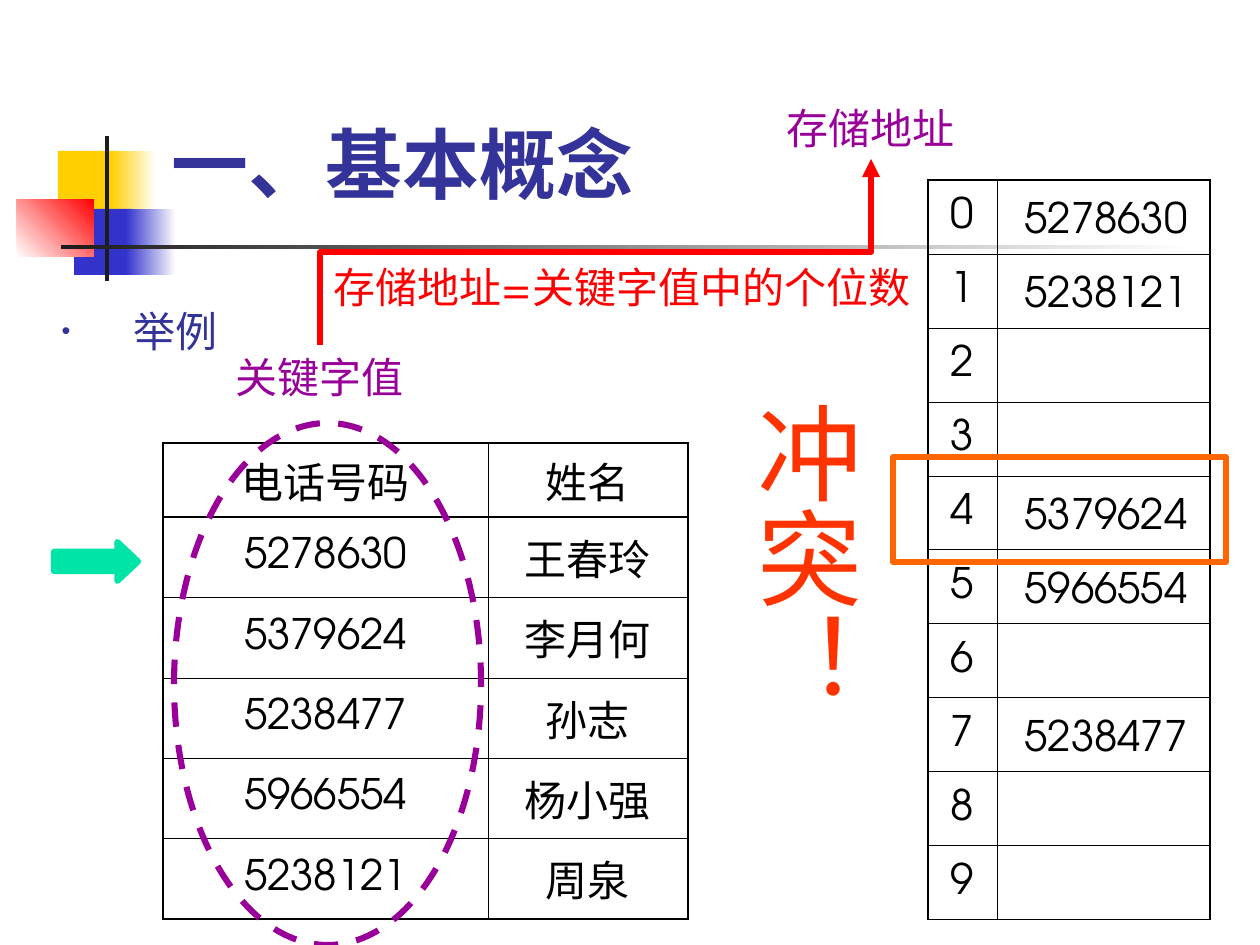
"""Builds the slide that explains a hash collision with a phone book and its storage table."""
from lxml import etree
from pptx import Presentation
from pptx.dml.color import RGBColor
from pptx.enum.dml import MSO_LINE
from pptx.enum.shapes import MSO_CONNECTOR, MSO_SHAPE
from pptx.enum.text import MSO_ANCHOR, MSO_AUTO_SIZE, PP_ALIGN
from pptx.oxml.ns import qn
from pptx.util import Emu, Pt

BLACK = RGBColor(0x00, 0x00, 0x00)
WHITE = RGBColor(0xFF, 0xFF, 0xFF)
CHARCOAL = RGBColor(0x1C, 0x1C, 0x1C)
YELLOW = RGBColor(0xFF, 0xCF, 0x01)
BLUE = RGBColor(0x33, 0x33, 0xCC)
NAVY = RGBColor(0x33, 0x33, 0x99)
RED = RGBColor(0xFF, 0x00, 0x00)
PURPLE = RGBColor(0x99, 0x00, 0x99)
GREEN = RGBColor(0x00, 0xE4, 0xA8)
ORANGE = RGBColor(0xFF, 0x66, 0x00)
VERMILION = RGBColor(0xFF, 0x33, 0x00)

TITLE_FONT, BODY_FONT = "Cabin", "TeX Gyre Adventor"
HEAVY = 3.5

TITLE, TOPIC = "一、基本概念", "举例"
ORNAMENTS = [
    ((58, 151, 60, 66), [YELLOW], 0),
    ((111, 151, 45, 66), [YELLOW, WHITE], 0),
    ((74, 209, 58, 66), [BLUE], 0),
    ((126, 209, 50, 66), [BLUE, WHITE], 0),
    ((17, 199, 77, 58), [WHITE, RED], 45),
    ((105, 136, 4, 145), [CHARCOAL], 0),
    ((61, 245, 1134, 4), [CHARCOAL, WHITE], 0),
]
PHONE_BOOK = [
    ("电话号码", "姓名"),
    ("5278630", "王春玲"),
    ("5379624", "李月何"),
    ("5238477", "孙志"),
    ("5966554", "杨小强"),
    ("5238121", "周泉"),
]
SLOTS = [(str(slot), "") for slot in range(10)]
STORED = {0: "5278630", 1: "5238121", 4: "5379624", 5: "5966554", 7: "5238477"}
LABELS = [
    ("关键字值", (223, 345, 194, 63), PURPLE, PP_ALIGN.LEFT),
    ("存储地址", (774, 96, 194, 63), PURPLE, PP_ALIGN.LEFT),
    ("存储地址=关键字值中的个位数", (297, 255, 650, 63), RED, PP_ALIGN.CENTER),
]
SLOT_LEFT, SLOT_TOP, SLOT_HEIGHT = 928, 180, 74
MAPPING_START, MAPPING_END = (320, 345), (871, 159)


def px(*lengths):
    return [Emu(round(length * 914400 / 126)) for length in lengths]


def write(frame, text, size, color, font=BODY_FONT, align=PP_ALIGN.LEFT, before=0, bold=False):
    paragraph = frame.paragraphs[0]
    paragraph.alignment = align
    paragraph.space_before = Pt(before)
    run = paragraph.add_run()
    run.text = text
    run.font.name, run.font.size, run.font.bold = font, Pt(size), bold
    run.font.color.rgb = color
    return paragraph


def place(placeholder, box, anchor):
    placeholder.left, placeholder.top, placeholder.width, placeholder.height = px(*box)
    frame = placeholder.text_frame
    frame.auto_size, frame.vertical_anchor = MSO_AUTO_SIZE.NONE, anchor
    return frame


def add_outline(slide, kind, box, color, fill=None):
    shape = slide.shapes.add_shape(kind, *px(*box))
    shape.shadow.inherit = False
    if fill is None:
        shape.fill.background()
    else:
        shape.fill.solid()
        shape.fill.fore_color.rgb = fill
    shape.line.color.rgb = color
    shape.line.width = Pt(HEAVY)
    return shape


def add_ornament(slide, box, colors, angle):
    shape = slide.shapes.add_shape(MSO_SHAPE.RECTANGLE, *px(*box))
    shape.shadow.inherit = False
    shape.line.fill.background()
    if len(colors) == 1:
        shape.fill.solid()
        shape.fill.fore_color.rgb = colors[0]
    else:
        shape.fill.gradient()
        shape.fill.gradient_angle = angle
        for stop, color in zip(shape.fill.gradient_stops, colors):
            stop.color.rgb = color


def add_borders(cell, widths):
    properties = cell._tc.get_or_add_tcPr()
    for side, width in zip("LRTB", widths):
        line = etree.SubElement(properties, qn(f"a:ln{side}"), w=str(Pt(width)))
        fill = etree.SubElement(line, qn("a:solidFill"))
        etree.SubElement(fill, qn("a:srgbClr"), val=str(BLACK))


def add_grid(slide, rows, left, top, widths, heights, thick, thin, heading=False):
    last_row, last_column = len(rows) - 1, len(widths) - 1
    table = slide.shapes.add_table(
        len(rows), len(widths), *px(left, top, sum(widths), sum(heights))).table
    table.first_row = table.horz_banding = False
    for column, width in zip(table.columns, px(*widths)):
        column.width = width
    for row, height in zip(table.rows, px(*heights)):
        row.height = height
    for r, texts in enumerate(rows):
        for c, text in enumerate(texts):
            cell = table.cell(r, c)
            edges = (c == 0, c == last_column,
                     r == 0 or heading and r == 1,
                     r == last_row or heading and r == 0)
            add_borders(cell, [thick if edge else thin for edge in edges])
            cell.fill.background()
            cell.vertical_anchor = MSO_ANCHOR.MIDDLE
            if text:
                write(cell.text_frame, text, 24, BLACK, align=PP_ALIGN.CENTER, before=6)


def add_label(slide, text, box, color, align, size=24, before=15):
    frame = slide.shapes.add_textbox(*px(*box)).text_frame
    frame.word_wrap = True
    frame.auto_size = MSO_AUTO_SIZE.SHAPE_TO_FIT_TEXT
    write(frame, text, size, color, align=align, before=before)
    return frame


def add_mapping(slide, start, end):
    across, up = end[0] - start[0], start[1] - end[1]
    middle_x, middle_y = (start[0] + end[0]) / 2, (start[1] + end[1]) / 2
    mapping = slide.shapes.add_connector(MSO_CONNECTOR.ELBOW, *px(
        middle_x + up / 2, middle_y + across / 2, middle_x - up / 2, middle_y - across / 2))
    mapping.line.color.rgb = RED
    mapping.line.width = Pt(HEAVY)
    properties = mapping._element.spPr
    properties.find(qn("a:xfrm")).set("rot", str(90 * 60000))
    etree.SubElement(properties.find(qn("a:ln")), qn("a:tailEnd"), type="triangle")
    etree.SubElement(properties, qn("a:effectLst"))


def add_topic(placeholder):
    frame = place(placeholder, (49, 299, 1140, 595), MSO_ANCHOR.TOP)
    topic = write(frame, TOPIC, 24, NAVY, align=PP_ALIGN.JUSTIFY, before=15)
    properties = topic._p.get_or_add_pPr()
    indent, = px(72)
    properties.set("marL", str(indent))
    properties.set("indent", str(-indent))
    bullet_color = etree.SubElement(properties, qn("a:buClr"))
    etree.SubElement(bullet_color, qn("a:srgbClr"), val=str(NAVY))
    etree.SubElement(properties, qn("a:buSzPct"), val="60000")
    etree.SubElement(properties, qn("a:buChar"), char="•")


def main():
    deck = Presentation()
    deck.slide_width, deck.slide_height = px(1260, 945)
    slide = deck.slides.add_slide(deck.slide_layouts[1])
    for ornament in ORNAMENTS:
        add_ornament(slide, *ornament)
    title = place(slide.shapes.title, (159, 84, 1074, 158), MSO_ANCHOR.MIDDLE)
    write(title, TITLE, 44, NAVY, font=TITLE_FONT, bold=True)
    add_topic(slide.placeholders[1])

    add_grid(slide, PHONE_BOOK, 163, 443, [325, 200], [74] + [80.4] * 5, 1.47, 0.11, heading=True)
    key_ring = add_outline(slide, MSO_SHAPE.OVAL, (174, 423, 307, 522), PURPLE)
    key_ring.line.dash_style = MSO_LINE.DASH
    for label in LABELS:
        add_label(slide, *label)
    add_grid(slide, SLOTS, SLOT_LEFT, SLOT_TOP, [69, 213], [SLOT_HEIGHT] * 10, 1.08, 0.45)
    add_mapping(slide, MAPPING_START, MAPPING_END)

    for slot, number in STORED.items():
        box = (SLOT_LEFT + 79, SLOT_TOP + 5 + slot * SLOT_HEIGHT, 198, 64)
        frame = slide.shapes.add_textbox(*px(*box)).text_frame
        frame.word_wrap, frame.vertical_anchor = False, MSO_ANCHOR.MIDDLE
        write(frame, number, 24, BLACK, align=PP_ALIGN.CENTER)
    pointer = add_outline(slide, MSO_SHAPE.RIGHT_ARROW, (54, 542, 84, 39), GREEN, fill=GREEN)
    pointer.adjustments[1] = 0.53
    add_outline(slide, MSO_SHAPE.RECTANGLE, (893, 457, 333, 105), ORANGE)
    collision = add_label(slide, "冲突！", (724, 388, 151, 387), VERMILION, PP_ALIGN.LEFT, 60, 37.5)
    collision._txBody.bodyPr.set("vert", "eaVert")
    collision.margin_left, collision.margin_right = px(6, 6)
    collision.margin_top, collision.margin_bottom = px(13, 13)
    deck.save("out.pptx")


if __name__ == "__main__":
    main()
